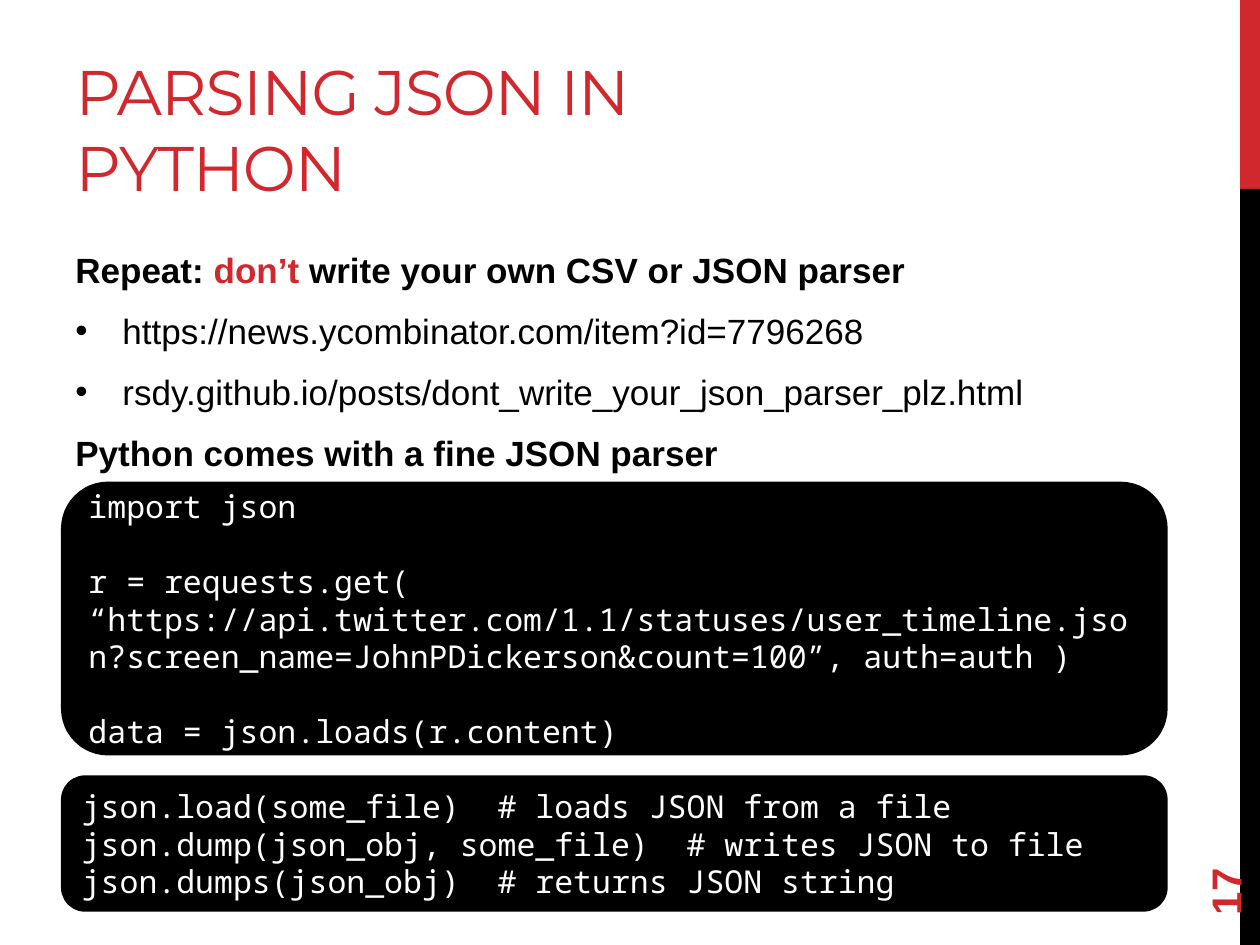
from dataclasses import dataclass

from lxml import etree
from pptx import Presentation
from pptx import util as u
from pptx.dml.color import RGBColor
from pptx.enum import shapes, text
from pptx.oxml.ns import qn


@dataclass(frozen=True)
class Theme:
    red: RGBColor = RGBColor(0xD1, 0x28, 0x2E)
    black: RGBColor = RGBColor(0, 0, 0)
    white: RGBColor = RGBColor(255, 255, 255)
    title_font: str = "Montserrat"
    body_font: str = "Arial"
    code_font: str = "Noto Sans Mono"
    title_size: u.Pt = u.Pt(36)
    number_size: u.Pt = u.Pt(24)
    body_size: u.Pt = u.Pt(20)
    code_size: u.Pt = u.Pt(18)
    code_line: u.Pt = u.Pt(21.5)


@dataclass(frozen=True)
class Box:
    """A rectangle in centimetres."""
    left: float
    top: float
    width: float
    height: float

    def lengths(self) -> list[u.Cm]:
        return [u.Cm(value) for value in (self.left, self.top, self.width, self.height)]


@dataclass(frozen=True)
class Bar:
    box: Box
    color: RGBColor


@dataclass(frozen=True)
class BodyLine:
    """Text split into segments; the one equal to `highlight` is red."""
    segments: tuple[str, ...]
    bullet: bool = False
    highlight: str = ""


@dataclass(frozen=True)
class CodePanel:
    box: Box
    blocks: tuple[tuple[str, ...], ...]


THEME = Theme()
MARGIN = 1.27
BARS = (
    Bar(Box(25, 0, 0.4, 3.81), THEME.red),
    Bar(Box(25, 3.81, 0.4, 15.24), THEME.black),
)
BODY_LINES = (
    BodyLine(("Repeat: ", "don’t", " write your own CSV or JSON parser"), highlight="don’t"),
    BodyLine(("https://news.ycombinator.com/item?id=7796268",), bullet=True),
    BodyLine(("rsdy.github.io/posts/dont_write_your_json_parser_plz.html",), bullet=True),
    BodyLine(("Python comes with a fine JSON parser",)),
)
CODE_PANELS = (
    CodePanel(Box(MARGIN, 9.75, 22.23, 5.44), (
        ("import json",),
        ("r = requests.get( “https://api.twitter.com/1.1/statuses/user_timeline.json"
         "?screen_name=JohnPDickerson&count=100”, auth=auth )",),
        ("data = json.loads(r.content)",),
    )),
    CodePanel(Box(MARGIN, 15.67, 22.23, 2.67), ((
        "json.load(some_file)  # loads JSON from a file",
        "json.dump(json_obj, some_file)  # writes JSON to file",
        "json.dumps(json_obj)  # returns JSON string",
    ),)),
)


def apply_format(target, values: dict) -> None:
    for name, value in values.items():
        setattr(target, name, value)


def format_font(font, name: str, size: u.Pt, color: RGBColor, bold: bool = False) -> None:
    apply_format(font, {"name": name, "size": size, "bold": bold})
    font.color.rgb = color


def draw_shape(slide, kind, box: Box, color: RGBColor):
    shape = slide.shapes.add_shape(kind, *box.lengths())
    shape.shadow.inherit = False
    shape.fill.solid()
    shape.fill.fore_color.rgb = color
    shape.line.fill.background()
    return shape


def draw_title(slide, title: str) -> None:
    shape = slide.shapes.title
    left, top, width, height = Box(MARGIN, 0.43, 16.08, 3.81).lengths()
    apply_format(shape, {"left": left, "top": top, "width": width, "height": height})
    apply_format(shape.text_frame, {
        "text": title, "word_wrap": True, "auto_size": text.MSO_AUTO_SIZE.NONE,
        "vertical_anchor": text.MSO_ANCHOR.BOTTOM})
    paragraph = shape.text_frame.paragraphs[0]
    paragraph.alignment = text.PP_ALIGN.LEFT
    run = paragraph.runs[0]
    format_font(run.font, THEME.title_font, THEME.title_size, THEME.red)
    run.font._element.set("spc", "-60")


def add_bullet(paragraph, indent: u.Cm) -> None:
    properties = paragraph._p.get_or_add_pPr()
    properties.set("marL", str(indent))
    properties.set("indent", str(-indent))
    etree.SubElement(properties, qn("a:buFont")).set("typeface", "Arial")
    etree.SubElement(properties, qn("a:buChar")).set("char", "•")


def draw_body(slide, lines: tuple[BodyLine, ...]) -> None:
    frame = slide.shapes.add_textbox(*Box(MARGIN, 4.88, 21.16, 12.14).lengths()).text_frame
    frame.word_wrap = True
    for index, line in enumerate(lines):
        paragraph = frame.add_paragraph() if index else frame.paragraphs[0]
        if line.bullet:
            add_bullet(paragraph, u.Cm(0.95))
        paragraph.space_before = u.Pt(4.8 if index else 0)
        paragraph.space_after = u.Pt(6)
        for segment in line.segments:
            run = paragraph.add_run()
            run.text = segment
            color = THEME.red if segment == line.highlight else THEME.black
            format_font(run.font, THEME.body_font, THEME.body_size, color, not line.bullet)


def draw_code(slide, panel: CodePanel) -> None:
    """Draw a rounded panel whose code blocks stand one line apart."""
    shape = draw_shape(slide, shapes.MSO_SHAPE.ROUNDED_RECTANGLE, panel.box, THEME.black)
    shape.line.color.rgb = THEME.black
    shape.line.width = u.Pt(2.25)
    frame = shape.text_frame
    apply_format(frame, {"word_wrap": True, "vertical_anchor": text.MSO_ANCHOR.MIDDLE})
    for block_index, block in enumerate(panel.blocks):
        for line_index, line in enumerate(block):
            first = block_index == line_index == 0
            paragraph = frame.paragraphs[0] if first else frame.add_paragraph()
            starts_block = block_index > 0 and line_index == 0
            apply_format(paragraph, {
                "alignment": text.PP_ALIGN.LEFT,
                "line_spacing": THEME.code_line,
                "space_before": THEME.code_line if starts_block else u.Pt(0)})
            run = paragraph.add_run()
            run.text = line
            format_font(run.font, THEME.code_font, THEME.code_size, THEME.white)


def draw_number(slide, number: str) -> None:
    shape = slide.shapes.add_textbox(*Box(22.86, 16.36, 3.66, 1.02).lengths())
    shape.rotation = 270
    apply_format(shape.text_frame, {
        "text": number, "word_wrap": True, "vertical_anchor": text.MSO_ANCHOR.MIDDLE})
    run = shape.text_frame.paragraphs[0].runs[0]
    format_font(run.font, THEME.body_font, THEME.number_size, THEME.red, bold=True)


def main() -> None:
    presentation = Presentation()
    presentation.slide_width, presentation.slide_height = u.Cm(25.4), u.Cm(19.05)
    slide = presentation.slides.add_slide(presentation.slide_layouts[5])
    for bar in BARS:
        draw_shape(slide, shapes.MSO_SHAPE.RECTANGLE, bar.box, bar.color)
    draw_title(slide, "PARSING JSON IN PYTHON")
    draw_body(slide, BODY_LINES)
    draw_number(slide, "17")
    for panel in CODE_PANELS:
        draw_code(slide, panel)
    presentation.save("out.pptx")


if __name__ == "__main__":
    main()
